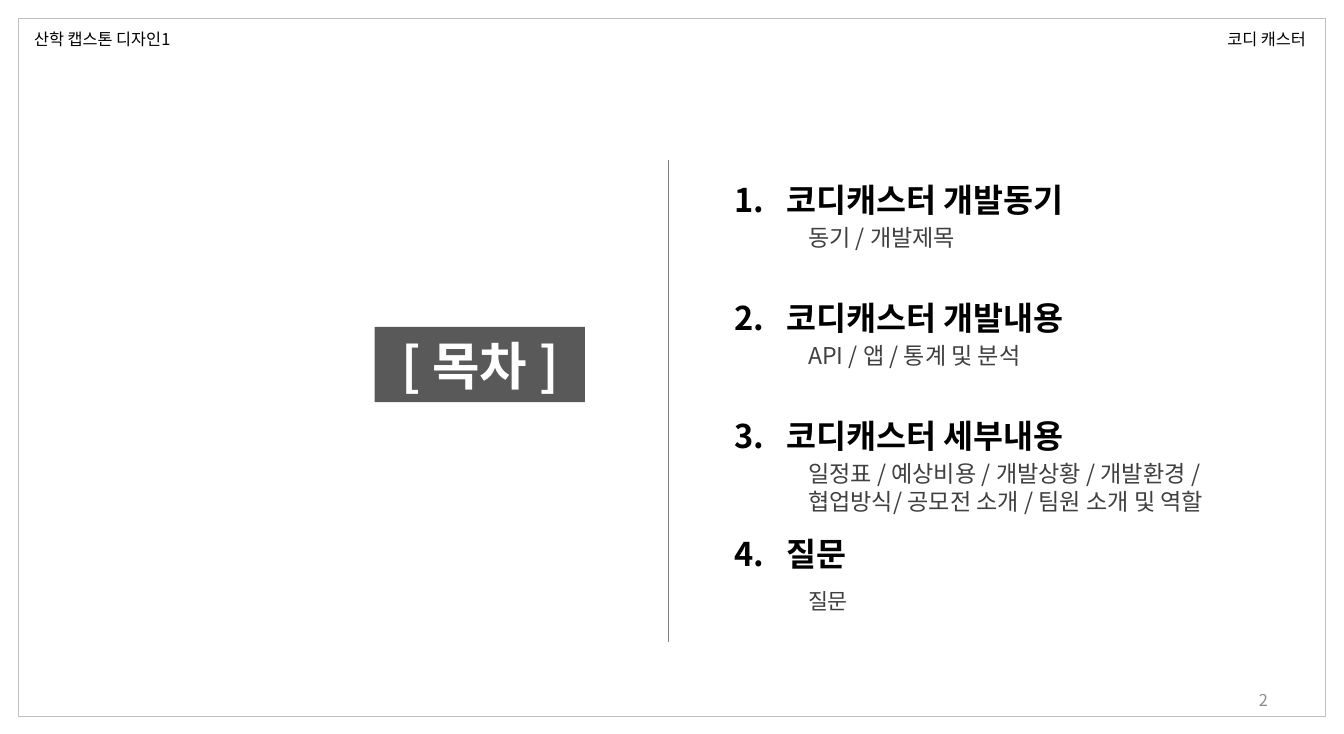
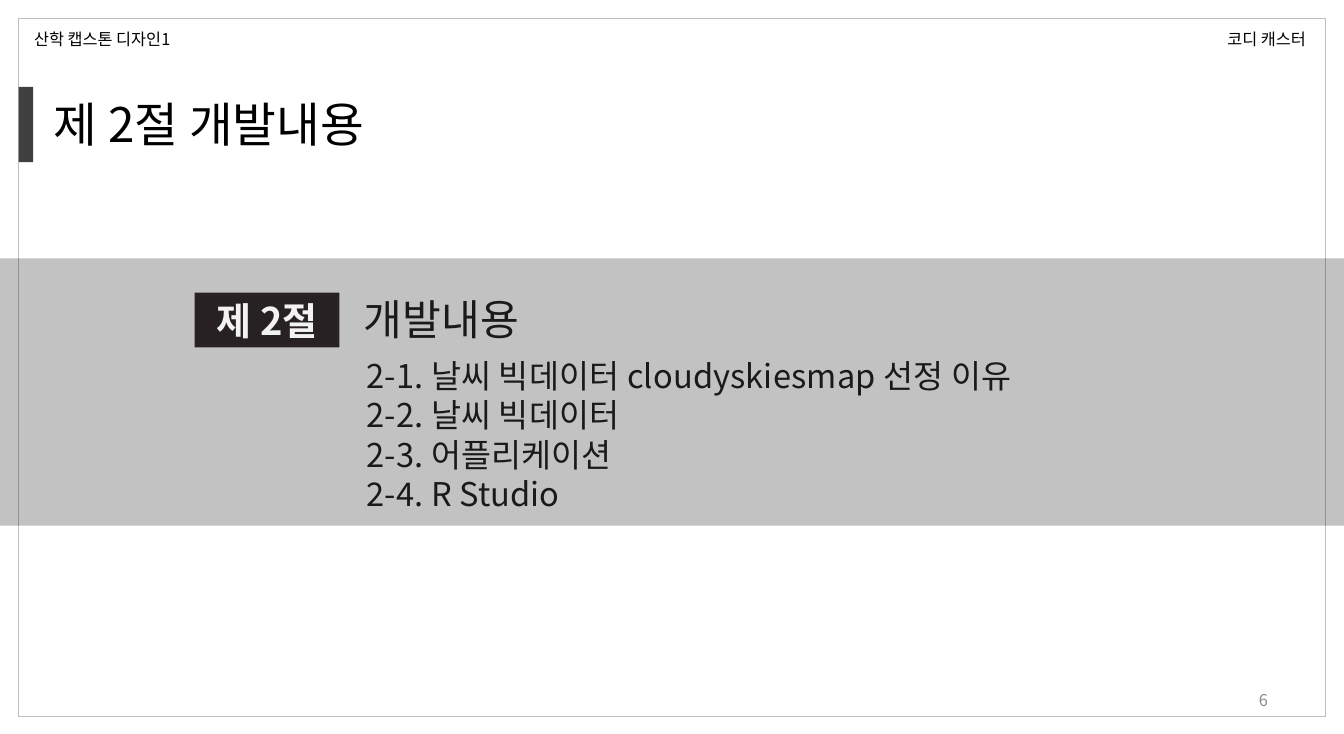
from dataclasses import dataclass

from lxml import etree
from pptx import Presentation
from pptx.dml.color import RGBColor
from pptx.enum.dml import MSO_LINE
from pptx.enum.shapes import MSO_CONNECTOR, MSO_SHAPE
from pptx.enum.text import MSO_ANCHOR, MSO_AUTO_SIZE, PP_ALIGN
from pptx.oxml.ns import qn
from pptx.util import Pt

RECTANGLE = MSO_SHAPE.RECTANGLE
STRAIGHT = MSO_CONNECTOR.STRAIGHT
DOTTED = MSO_LINE.ROUND_DOT
LEFT, CENTER, RIGHT = PP_ALIGN.LEFT, PP_ALIGN.CENTER, PP_ALIGN.RIGHT
TOP, MIDDLE = MSO_ANCHOR.TOP, MSO_ANCHOR.MIDDLE
NO_AUTOFIT = MSO_AUTO_SIZE.NONE
TITLE_ONLY = 5


@dataclass(frozen=True)
class Theme:
    """Colours, type sizes and font shared by the slides."""

    font: str = "Noto Sans CJK KR"
    black: str = "000000"
    white: str = "FFFFFF"
    frame: str = "BFBFBF"
    divider: str = "808080"
    page: str = "8C8C8C"
    plate: str = "595959"
    accent: str = "404040"
    tag: str = "272123"
    tag_text: str = "F2F2F2"
    band_text: str = "1A1A1A"
    band_opacity: int = 24
    label_size: float = 12
    last_detail_size: float = 16
    detail_size: float = 17
    heading_size: float = 24
    tag_size: float = 28
    band_title_size: float = 31
    title_size: float = 35
    plate_size: float = 38


THEME = Theme()
WIDTH, HEIGHT = 989.28, 540
SLIM = (7.2, 3.6)
WIDE = (9.4, 4.3)
HEADING_PITCH, HEADING_GAP, NUMBER_TAB = 86.7, 58, 38

CONTENTS = [
    ("코디캐스터 개발동기", "동기 / 개발제목", THEME.detail_size, 32),
    ("코디캐스터 개발내용", "API / 앱 / 통계 및 분석", THEME.detail_size, 32),
    ("코디캐스터 세부내용",
     "일정표 / 예상비용 / 개발상황 / 개발환경 / 협업방식/ 공모전 소개 / 팀원 소개 및 역할",
     THEME.detail_size, 32),
    ("질문", "질문", THEME.last_detail_size, 40),
]
TOPICS = [
    "2-1. 날씨 빅데이터 cloudyskiesmap 선정 이유",
    "2-2. 날씨 빅데이터",
    "2-3. 어플리케이션",
    "2-4. R Studio",
]


def points(*lengths):
    """Convert lengths in points to slide units."""
    return [Pt(length) for length in lengths]


def write(shape, lines, size, color, bold=False, align=LEFT, anchor=TOP,
          inset=SLIM, wrap=True, gap=0, tab=None, tracking=None):
    """Fill a shape with formatted lines of text."""
    frame = shape.text_frame
    across, down = points(*inset)
    frame_format = {
        "auto_size": NO_AUTOFIT, "word_wrap": wrap, "vertical_anchor": anchor,
        "margin_left": across, "margin_right": across,
        "margin_top": down, "margin_bottom": down,
    }
    for name, value in frame_format.items():
        setattr(frame, name, value)
    for index, line in enumerate(lines):
        paragraph = frame.paragraphs[0] if index == 0 else frame.add_paragraph()
        paragraph.alignment = align
        paragraph.space_before = Pt(gap if index else 0)
        if tab:
            stops = etree.SubElement(paragraph._p.get_or_add_pPr(), qn("a:tabLst"))
            etree.SubElement(stops, qn("a:tab"), pos=str(Pt(tab)), algn="l")
        run = paragraph.add_run()
        run.text = line
        font_format = {"name": THEME.font, "size": Pt(size), "bold": bold}
        for name, value in font_format.items():
            setattr(run.font, name, value)
        run.font.color.rgb = RGBColor.from_string(color)
        properties = run._r.get_or_add_rPr()
        east_asian = etree.Element(qn("a:ea"), typeface=THEME.font)
        properties.find(qn("a:latin")).addnext(east_asian)
        if tracking:
            properties.set("spc", str(tracking))


def add_text(slide, box, lines, size, color, **style):
    """Add a text box with formatted lines."""
    write(slide.shapes.add_textbox(*points(*box)), lines, size, color, **style)


def add_panel(slide, box, fill=None, line=None, opacity=None):
    """Add a flat rectangle."""
    panel = slide.shapes.add_shape(RECTANGLE, *points(*box))
    panel.shadow.inherit = False
    if fill:
        panel.fill.solid()
        panel.fill.fore_color.rgb = RGBColor.from_string(fill)
    else:
        panel.fill.background()
    if line:
        panel.line.color.rgb = RGBColor.from_string(line)
        panel.line.width = Pt(1)
    else:
        panel.line.fill.background()
    if opacity:
        color = panel._element.spPr.find(qn("a:solidFill"))[0]
        etree.SubElement(color, qn("a:alpha"), val=str(opacity * 1000))
    return panel


def place_title(slide, box, text, size, color, **style):
    """Move and format the title placeholder."""
    title = slide.shapes.title
    for name, value in zip(("left", "top", "width", "height"), points(*box)):
        setattr(title, name, value)
    write(title, [text], size, color, **style)
    return title


def add_page(presentation, number):
    """Add a slide with the shared frame, header labels and page number."""
    slide = presentation.slides.add_slide(presentation.slide_layouts[TITLE_ONLY])
    add_panel(slide, (13.7, 13.7, 961.9, 513.4), line=THEME.frame)
    labels = [
        ((18, 18, 158.4, 21.6), "산학 캡스톤 디자인1", THEME.black, {}),
        ((896.4, 18, 88.6, 21.6), "코디 캐스터", THEME.black, {}),
        ((709.2, 500.4, 231.1, 28.8), number, THEME.page,
         {"align": RIGHT, "anchor": MIDDLE}),
    ]
    for box, text, color, style in labels:
        add_text(slide, box, [text], THEME.label_size, color, **style)
    return slide


def add_divider(slide, x, top, height):
    """Add the thin dotted vertical line."""
    divider = slide.shapes.add_connector(STRAIGHT, *points(x, top, x, top + height))
    divider.line.color.rgb = RGBColor.from_string(THEME.divider)
    divider.line.width = Pt(0.25)
    divider.line.dash_style = DOTTED
    etree.SubElement(divider._element.spPr, qn("a:effectLst"))


def add_contents(slide, box):
    """Add the numbered headings and the details below each of them."""
    left, top, width, height = box
    headings = [f"{number}.\t{entry[0]}" for number, entry in enumerate(CONTENTS, 1)]
    add_text(slide, box, headings, THEME.heading_size, THEME.black, bold=True,
             inset=WIDE, gap=HEADING_GAP, tab=NUMBER_TAB)
    for row, (_, detail, size, drop) in enumerate(CONTENTS):
        detail_top = top + row * HEADING_PITCH + drop
        add_text(slide, (left + 54, detail_top, 360, 50), [detail], size,
                 THEME.accent, inset=WIDE)


def add_section_band(slide, box):
    """Add the translucent band with its section tag, title and topics."""
    left, top, width, height = box
    add_panel(slide, box, fill=THEME.black, opacity=THEME.band_opacity)
    add_text(slide, (left + 260.6, top + 22.3, 326, 44.6), ["개발내용"],
             THEME.band_title_size, THEME.band_text, tracking=10)
    add_text(slide, (left + 262.8, top + 68.4, 700, 122.4), TOPICS,
             THEME.heading_size, THEME.band_text, tracking=10)
    tag = add_panel(slide, (left + 143.3, top + 25.2, 106.6, 40.3), fill=THEME.tag)
    write(tag, ["제 2절"], THEME.tag_size, THEME.tag_text, bold=True,
          align=CENTER, anchor=MIDDLE, wrap=False)


def build_contents_slide(presentation):
    """Build the table of contents."""
    slide = add_page(presentation, "2")
    plate = place_title(slide, (275.8, 240.5, 154.8, 55.4), "[ 목차 ]",
                        THEME.plate_size, THEME.white, bold=True, align=CENTER,
                        anchor=MIDDLE, inset=WIDE, wrap=False)
    plate.fill.solid()
    plate.fill.fore_color.rgb = RGBColor.from_string(THEME.plate)
    add_divider(slide, 491.8, 117.4, 354.2)
    add_contents(slide, (531.4, 128.2, 440, 326.2))


def build_section_slide(presentation):
    """Build the opening of section two."""
    slide = add_page(presentation, "6")
    place_title(slide, (32.4, 66.2, 546.5, 48.2), "제 2절 개발내용",
                THEME.title_size, THEME.black)
    add_panel(slide, (13.7, 64, 10.8, 55.4), fill=THEME.accent)
    add_section_band(slide, (0, 190.1, WIDTH, 196.6))


def main():
    """Build and save the presentation."""
    presentation = Presentation()
    presentation.slide_width, presentation.slide_height = points(WIDTH, HEIGHT)
    build_contents_slide(presentation)
    build_section_slide(presentation)
    presentation.save("out.pptx")


if __name__ == "__main__":
    main()
